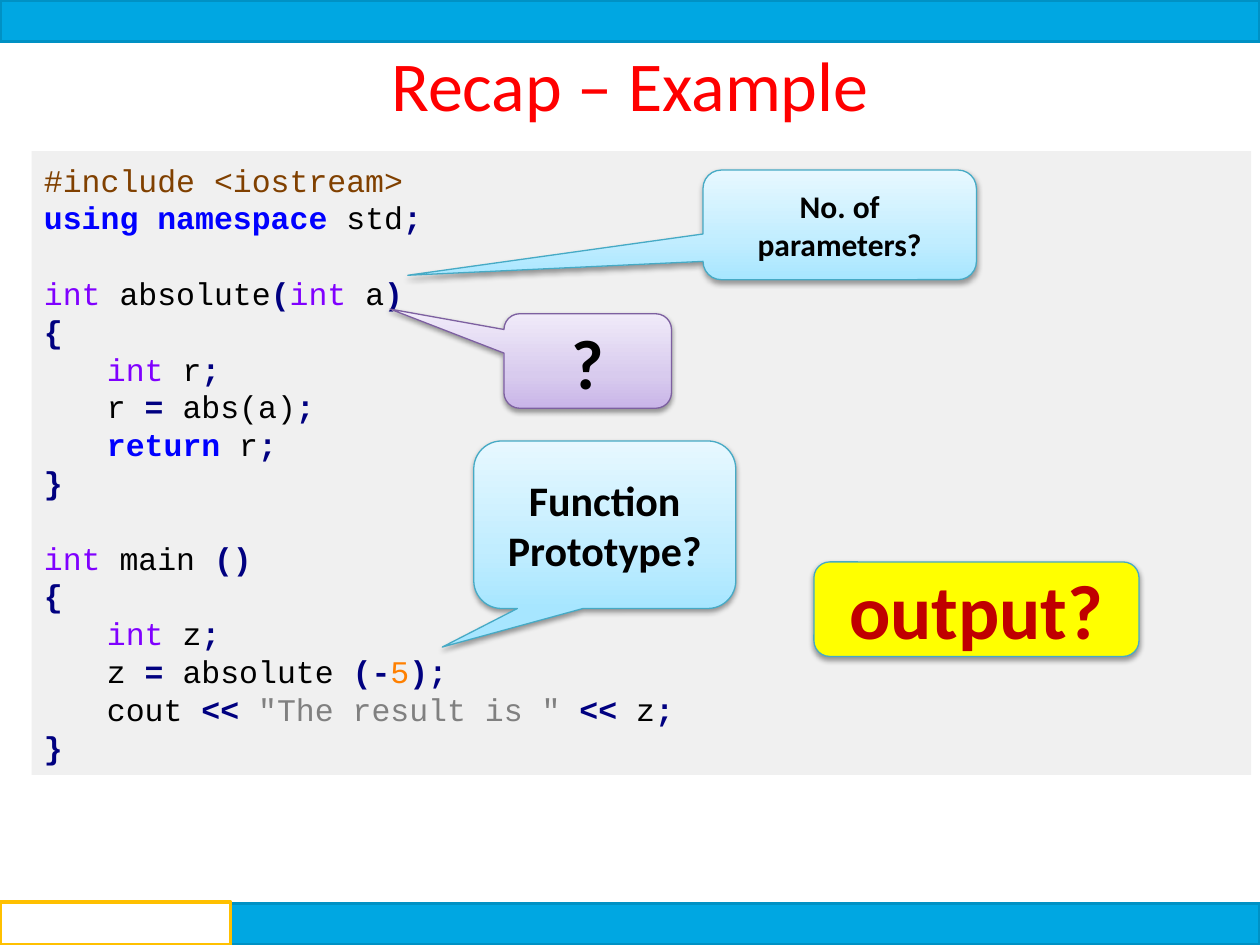
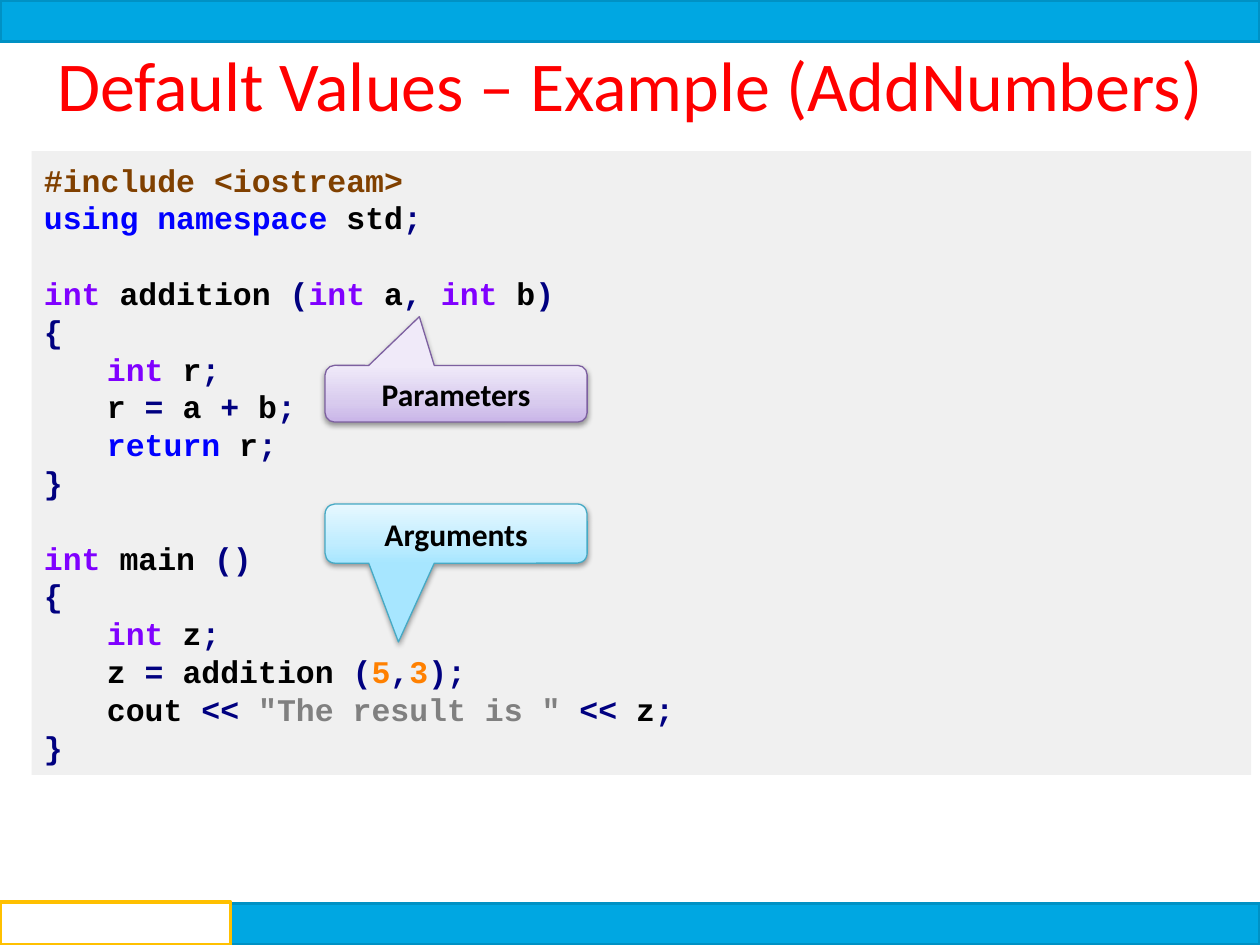
from lxml import etree
from pptx import Presentation
from pptx.dml.color import RGBColor
from pptx.enum import shapes, text
from pptx.oxml.ns import qn
from pptx.util import Inches, Pt

BODY_FONT, CODE_FONT = "Calibri", "Courier New"
BAND, BAND_EDGE, GOLD = "00A7E2", "0091C4", "FFC000"
CODE_LEADING = 21.6

# (gradient stops, outline)
AQUA = ([(0, "A7E6FF"), (35, "C1EDFF"), (100, "E7F8FF")], "46AAC5")
PURPLE = ([(0, "C9B5E8"), (35, "D8CBEE"), (100, "F0EAF9")], "7D60A0")

# token kind: (colour, bold even in plain code)
TOKENS = {
    "pre": ("804000", False),
    "key": ("0000FF", True),
    "type": ("8000FF", False),
    "op": ("000080", True),
    "id": ("000000", False),
    "num": ("FF8000", False),
    "str": ("808080", False),
}

# A code line is (indent level, tokens); None is an empty line.
OPEN = (0, [("op", "{")])
CLOSE = (0, [("op", "}")])
HEADER = [
    (0, [("pre", "#include <iostream>")]),
    (0, [("key", "using namespace "), ("id", "std"), ("op", ";")]),
    None,
]
RETURN_R = (1, [("key", "return "), ("id", "r"), ("op", ";")])
MAIN = (0, [("type", "int "), ("id", "main "), ("op", "()")])
PRINT_Z = (1, [("id", "cout "), ("op", "<< "), ("str", '"The result is " '),
               ("op", "<<"), ("id", " z"), ("op", ";")])


def declare(name):
    return (1, [("type", "int "), ("id", name), ("op", ";")])


def program(signature, assign_r, call):
    """Lines of a program with one function and a main that calls it."""
    function = [(0, signature), OPEN, declare("r"), (1, assign_r), RETURN_R, CLOSE]
    main_body = [MAIN, OPEN, declare("z"), (1, call), PRINT_Z, CLOSE]
    return HEADER + function + [None] + main_body


ABSOLUTE = program(
    [("type", "int"), ("id", " absolute"), ("op", "("), ("type", "int"),
     ("id", " a"), ("op", ")")],
    [("id", "r "), ("op", "= "), ("id", "abs(a)"), ("op", ";")],
    [("id", "z "), ("op", "="), ("id", " absolute "), ("op", "(-"),
     ("num", "5"), ("op", ");")])

ADDITION = program(
    [("type", "int "), ("id", "addition "), ("op", "("), ("type", "int"),
     ("id", " a"), ("op", ", "), ("type", "int"), ("id", " b"), ("op", ")")],
    [("id", "r "), ("op", "= "), ("id", "a "), ("op", "+ "), ("id", "b"), ("op", ";")],
    [("id", "z "), ("op", "="), ("id", " addition "), ("op", "("),
     ("num", "5"), ("op", ","), ("num", "3"), ("op", ");")])


def rgb(color):
    return RGBColor.from_string(color)


def add_run(p, content, size=18, color="000000", bold=False, font=BODY_FONT):
    r = p.add_run()
    r.text = content
    r.font.size, r.font.bold, r.font.name = Pt(size), bold, font
    r.font.color.rgb = rgb(color)


def add_box(s, box, kind="RECTANGLE", fill=None, line=None, width=0.75):
    sp = s.shapes.add_shape(getattr(shapes.MSO_SHAPE, kind), *map(Inches, box))
    sp.shadow.inherit = False
    if fill:
        sp.fill.solid()
        sp.fill.fore_color.rgb = rgb(fill)
    if line:
        sp.line.color.rgb = rgb(line)
        sp.line.width = Pt(width)
    else:
        sp.line.fill.background()
    sp.text_frame.word_wrap = True
    return sp


def add_alpha(color_element, percent):
    etree.SubElement(color_element, qn("a:alpha"), val=str(percent * 1000))


def add_shadow(sp):
    effects = sp._element.spPr.find(qn("a:effectLst"))
    shadow = etree.SubElement(effects, qn("a:outerShdw"), blurRad=str(Pt(3.1)),
                              dist=str(Pt(1.6)), dir="5400000", rotWithShape="0")
    add_alpha(etree.SubElement(shadow, qn("a:srgbClr"), val="000000"), 38)


def set_gradient(sp, stops):
    """Vertical gradient, with the first stop at the bottom."""
    sp.fill.gradient()
    sp.fill.gradient_angle = 90
    stop_list = sp._element.spPr.find(".//" + qn("a:gsLst"))
    for old in list(stop_list):
        stop_list.remove(old)
    for position, color in stops:
        stop = etree.SubElement(stop_list, qn("a:gs"), pos=str(position * 1000))
        etree.SubElement(stop, qn("a:srgbClr"), val=color)


def add_label(sp, content, **style):
    tf = sp.text_frame
    tf.vertical_anchor = text.MSO_ANCHOR.MIDDLE
    p = tf.paragraphs[0]
    p.alignment = text.PP_ALIGN.CENTER
    add_run(p, content, bold=True, **style)
    add_shadow(sp)


def add_callout(s, content, box, tip, look, size=18):
    """Speech bubble; tip is its pointer, as shares of the size from the centre."""
    stops, outline = look
    sp = add_box(s, box, "ROUNDED_RECTANGULAR_CALLOUT", line=outline)
    sp.adjustments[0], sp.adjustments[1] = tip
    set_gradient(sp, stops)
    add_label(sp, content, size=size)


def add_code(s, lines, all_bold=False):
    sp = add_box(s, (0.25, 1.2, 9.68, 4.95), fill="D9D9D9")
    add_alpha(sp._element.spPr.find(".//" + qn("a:srgbClr")), 38)
    tf = sp.text_frame
    tf.vertical_anchor = text.MSO_ANCHOR.MIDDLE
    p, gap = tf.paragraphs[0], 0
    for i, line in enumerate(lines):
        if line is None:
            gap = CODE_LEADING
            continue
        if i:
            p = tf.add_paragraph()
        level, tokens = line
        p._p.get_or_add_pPr().set("marL", str(Inches(0.5 * level)))
        p.alignment = text.PP_ALIGN.LEFT
        p.line_spacing, p.space_before = Pt(CODE_LEADING), Pt(gap)
        gap = 0
        for kind, content in tokens:
            color, bold = TOKENS[kind]
            add_run(p, content, color=color, bold=bold or all_bold, font=CODE_FONT)


def add_slide(prs, title):
    """Title-only slide with the bands at top and bottom."""
    s = prs.slides.add_slide(prs.slide_layouts[5])
    sp = s.shapes.title
    sp.left, sp.top, sp.width, sp.height = map(Inches, (0.25, 0.28, 9.5, 0.77))
    sp.text_frame.word_wrap = True
    p = sp.text_frame.paragraphs[0]
    p.alignment = text.PP_ALIGN.CENTER
    add_run(p, title, size=40, color="FF0000")
    for top in (0, 7.17):
        add_box(s, (0, top, 10, 0.33), fill=BAND, line=BAND_EDGE, width=2)
    add_box(s, (0, 7.16, 1.83, 0.34), fill="FFFFFF", line=GOLD, width=2.25)
    return s


def add_recap(prs):
    s = add_slide(prs, "Recap – Example")
    add_code(s, ABSOLUTE)
    add_callout(s, "Function Prototype?", (3.76, 3.5, 2.08, 1.33), (-0.62, 0.73), AQUA, 24)
    add_callout(s, "?", (4, 2.49, 1.33, 0.75), (-1.18, -0.55), PURPLE, 40)
    add_callout(s, "No. of parameters?", (5.58, 1.35, 2.17, 0.87), (-1.58, 0.46), AQUA)
    output = add_box(s, (6.46, 4.46, 2.58, 0.75), "ROUNDED_RECTANGLE", "FFFF00", AQUA[1])
    add_label(output, "output?", size=44, color="C00000")


def add_default_values(prs):
    s = add_slide(prs, "Default Values – Example (AddNumbers)")
    add_code(s, ADDITION, all_bold=True)
    add_callout(s, "Arguments", (2.58, 4, 2.08, 0.47), (-0.22, 1.83), AQUA)
    add_callout(s, "Parameters", (2.58, 2.9, 2.08, 0.45), (-0.14, -1.36), PURPLE)


def main():
    prs = Presentation()
    prs.slide_width, prs.slide_height = Inches(10), Inches(7.5)
    add_recap(prs)
    add_default_values(prs)
    prs.save("out.pptx")


if __name__ == "__main__":
    main()
